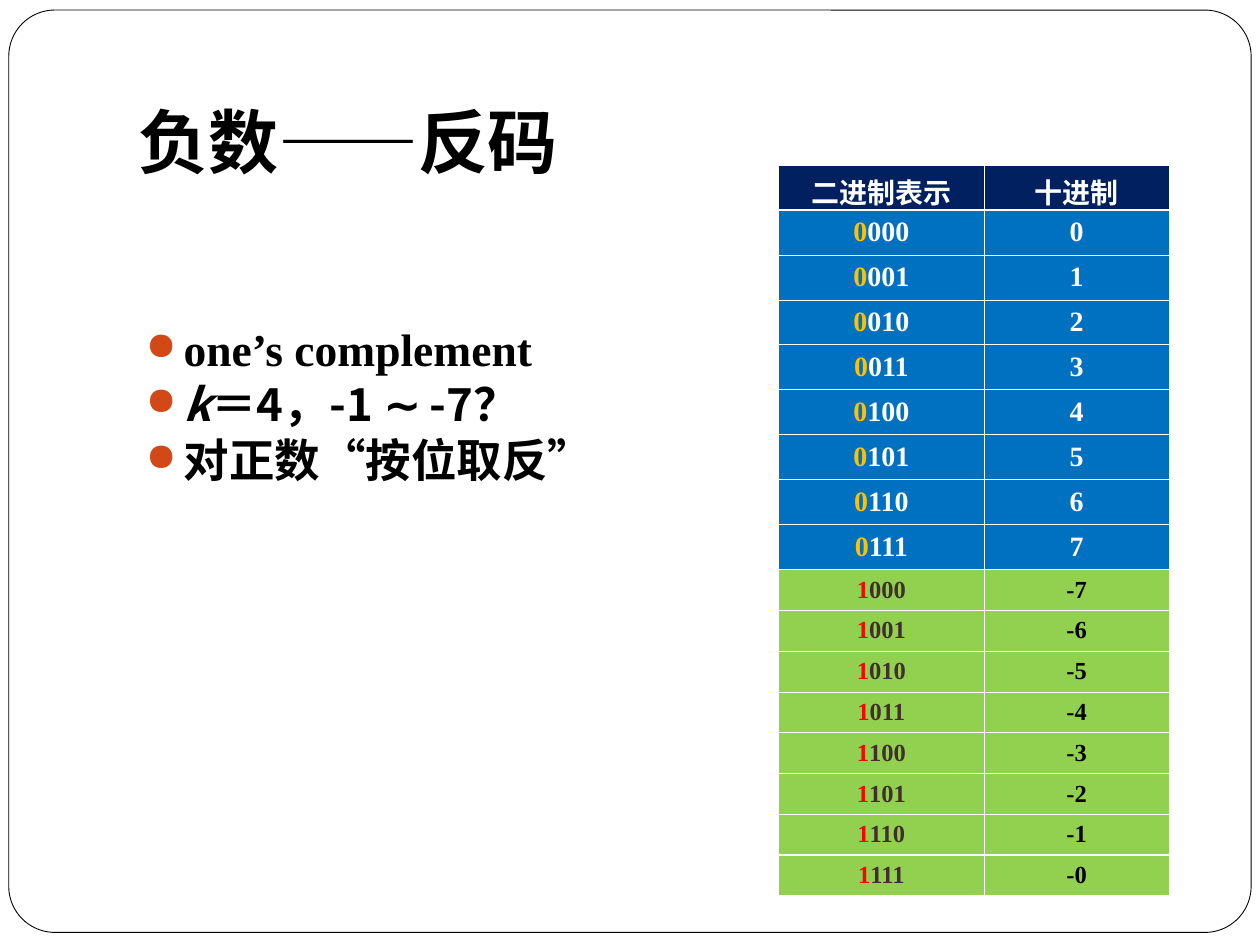
from pptx import Presentation
from pptx.dml.color import RGBColor
from pptx.enum.shapes import MSO_SHAPE
from pptx.enum.text import MSO_ANCHOR as Anchor, PP_ALIGN as Align
from pptx.oxml import parse_xml
from pptx.oxml.ns import nsdecls, qn
from pptx.util import Inches, Pt

BLACK, WHITE = "000000", "FFFFFF"
SANS, SERIF = "Noto Sans CJK SC", "Times New Roman"
NAVY, BLUE, GREEN = "002060", "0070C0", "92D050"
BULLET_XML = (
    '<a:buClr {ns}><a:srgbClr val="D34817"/></a:buClr>',
    '<a:buSzPct {ns} val="85000"/>',
    '<a:buChar {ns} char="●"/>',
)


def color(hex_text):
    return RGBColor.from_string(hex_text)


def set_font(paragraph, name, size, ink=BLACK):
    """Set the paragraph's bold font, for Latin and East Asian text."""
    font = paragraph.font
    font.name, font.size, font.bold = name, Pt(size), True
    font.color.rgb = color(ink)
    latin = paragraph._p.pPr.find(qn("a:defRPr")).find(qn("a:latin"))
    latin.addnext(parse_xml(f'<a:ea {nsdecls("a")} typeface="{SANS}"/>'))


def set_borders(cell, **widths):
    """Draw white borders; widths in points are keyed L, R, T and B."""
    properties = cell._tc.get_or_add_tcPr()
    for index, side in enumerate("LRTB"):
        properties.insert(index, parse_xml(
            f'<a:ln{side} {nsdecls("a")} w="{Pt(widths.get(side, 0.45))}">'
            f'<a:solidFill><a:srgbClr val="{WHITE}"/></a:solidFill></a:ln{side}>'))


class SlideBuilder:
    def __init__(self, page):
        self.page = page

    def frame(self, left, top, width, height):
        shape = self.page.shapes.add_shape(
            MSO_SHAPE.ROUNDED_RECTANGLE,
            Inches(left), Inches(top), Inches(width), Inches(height))
        shape.adjustments[0] = 0.05
        shape.shadow.inherit = False
        shape.fill.solid()
        shape.fill.fore_color.rgb = color(WHITE)
        shape.line.color.rgb = color(BLACK)
        shape.line.width = Pt(0.5)

    def text_box(self, left, top, width, height):
        box = self.page.shapes.add_textbox(
            Inches(left), Inches(top), Inches(width), Inches(height))
        box.text_frame.word_wrap = True
        return box.text_frame

    def title(self, text, *place):
        frame = self.text_box(*place)
        frame.vertical_anchor = Anchor.BOTTOM
        frame.margin_bottom = Inches(0.1)
        para = frame.paragraphs[0]
        para.add_run().text = text
        set_font(para, SANS, 40)

    def bullets(self, items, *place):
        """Each item is a paragraph font and its (text, font, italic) spans."""
        frame = self.text_box(*place)
        for index, (font, spans) in enumerate(items):
            para = frame.add_paragraph() if index else frame.paragraphs[0]
            properties = para._p.get_or_add_pPr()
            properties.set("marL", str(Inches(0.3)))
            properties.set("indent", str(Inches(-0.3)))
            for xml in BULLET_XML:
                properties.append(parse_xml(xml.format(ns=nsdecls("a"))))
            para.space_before = Pt(5.8)
            para.line_spacing = 0.83
            set_font(para, font, 26)
            for text, span_font, italic in spans:
                span = para.add_run()
                span.text = text
                if span_font != font:
                    span.font.name = span_font
                if italic:
                    span.font.italic = True

    def table(self, rows, left, top, widths, height, thick_after):
        """Each row is its fill, text size and cells of (text, ink) spans."""
        table = self.page.shapes.add_table(
            len(rows), len(widths), Inches(left), Inches(top),
            Inches(sum(widths)), Inches(height)).table
        for column, width in zip(table.columns, widths):
            column.width = Inches(width)
        for row, (fill, size, cells) in enumerate(rows):
            borders = {"T": 1.47 if row - 1 in thick_after else 0.45,
                       "B": 1.47 if row in thick_after else 0.45}
            for column, spans in enumerate(cells):
                cell = table.cell(row, column)
                self.table_cell(cell, fill, size, spans)
                set_borders(cell, **borders)

    def table_cell(self, cell, fill, size, spans):
        cell.fill.solid()
        cell.fill.fore_color.rgb = color(fill)
        cell.vertical_anchor = Anchor.MIDDLE
        cell.margin_left = cell.margin_right = Inches(0.08)
        cell.margin_top = cell.margin_bottom = Pt(3.25)
        para = cell.text_frame.paragraphs[0]
        para.alignment = Align.CENTER
        base_ink = spans[-1][1]
        set_font(para, SERIF, size, base_ink)
        for text, ink in spans:
            span = para.add_run()
            span.text = text
            if ink != base_ink:
                span.font.color.rgb = color(ink)


def code_rows():
    """List every 4-bit one's complement code with its decimal value."""
    rows = [(NAVY, 16, [[("二进制表示", WHITE)], [("十进制", WHITE)]])]
    for code in range(16):
        bits = f"{code:04b}"
        if code < 8:
            fill, size, sign_ink, bit_ink, value_ink = BLUE, 16, "FFC000", WHITE, WHITE
            value = str(code)
        else:
            fill, size, sign_ink, bit_ink, value_ink = GREEN, 14, "FF0000", "422E2E", BLACK
            value = f"-{15 - code}"
        rows.append((fill, size, [[(bits[0], sign_ink), (bits[1:], bit_ink)],
                                  [(value, value_ink)]]))
    return rows


def main():
    deck = Presentation()
    deck.slide_width, deck.slide_height = Inches(10), Inches(7.5)
    builder = SlideBuilder(deck.slides.add_slide(deck.slide_layouts[6]))
    builder.frame(0.07, 0.08, 9.86, 7.32)
    builder.title("负数——反码", 1, 0.3, 8.5, 1.25)
    builder.table(code_rows(), 6.18, 1.31, (1.63, 1.47), 5.5, thick_after=(0, 15))
    builder.bullets([
        (SERIF, [("one’s complement", SERIF, False)]),
        (SANS, [("k", SANS, True), ("＝4，-1 ", SANS, False),
                ("∼", "Arial", False), (" -7？", SANS, False)]),
        (SANS, [("对正数“按位取反”", SANS, False)]),
    ], 1.06, 2.57, 4.8, 4.17)
    deck.save("out.pptx")


if __name__ == "__main__":
    main()
